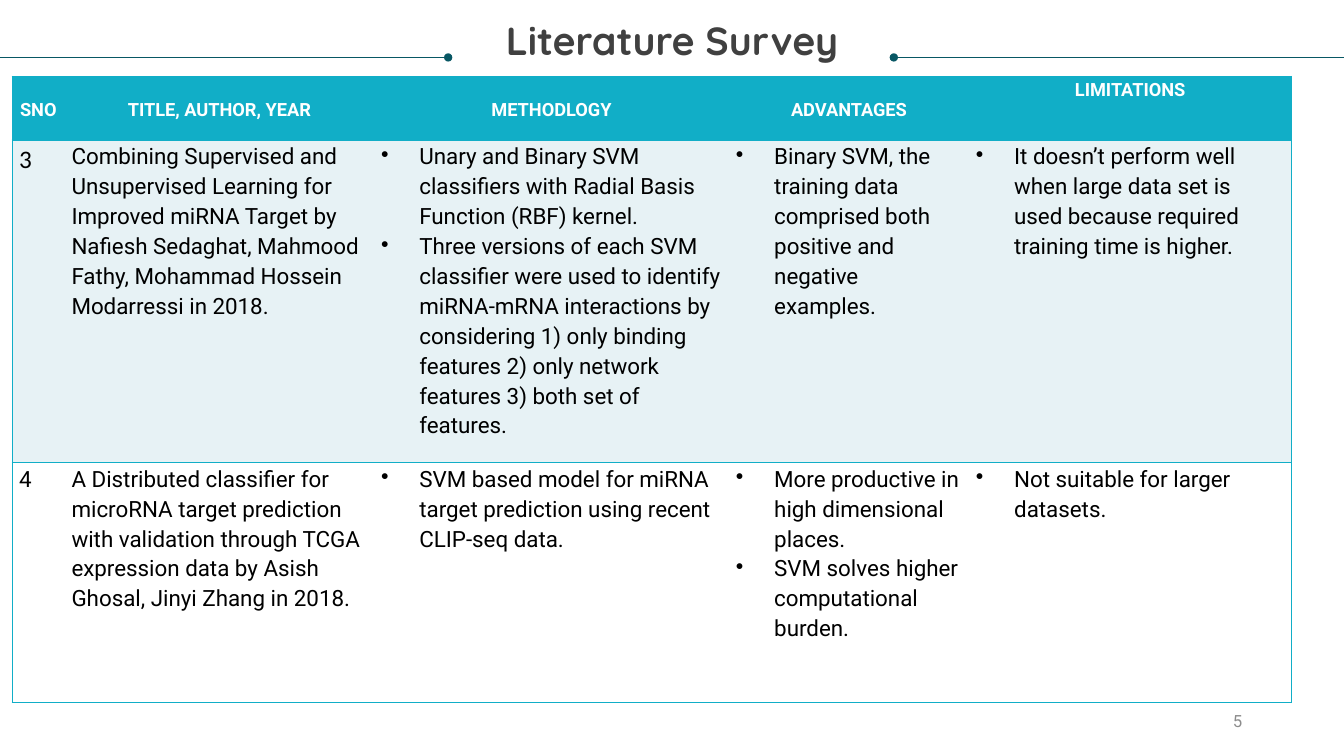
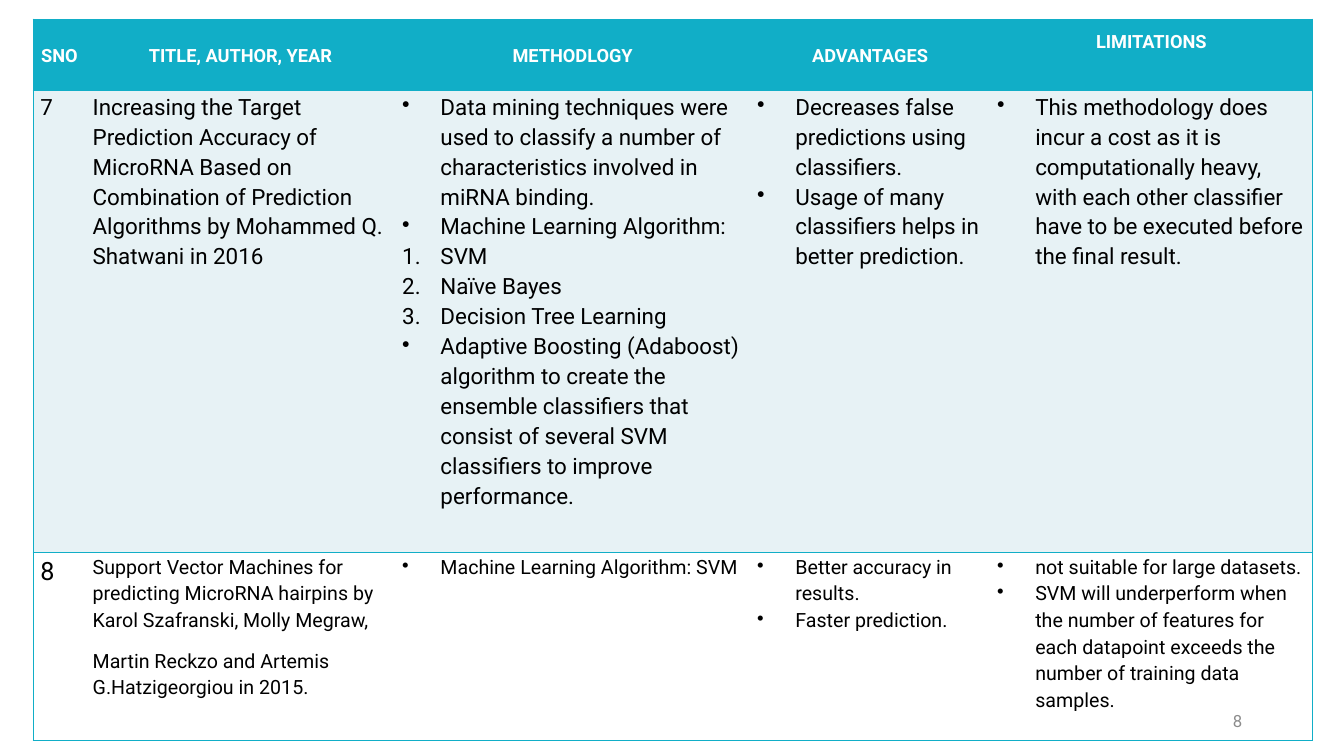
from dataclasses import dataclass

from lxml.etree import SubElement
from pptx import Presentation
from pptx.dml.color import RGBColor
from pptx.enum.shapes import MSO_CONNECTOR
from pptx.enum.text import MSO_ANCHOR as Anchor, PP_ALIGN as Align
from pptx.oxml.ns import qn
from pptx.util import Inches, Pt

TEAL = RGBColor(0x11, 0xAE, 0xC7)
DARK_TEAL = RGBColor(0x08, 0x57, 0x64)
PALE = RGBColor(0xE7, 0xF2, 0xF5)
WHITE = RGBColor(0xFF, 0xFF, 0xFF)
BLACK = RGBColor(0x00, 0x00, 0x00)
CHARCOAL = RGBColor(0x40, 0x40, 0x40)
GREY = RGBColor(0x8C, 0x8C, 0x8C)
BODY_FONT, TITLE_FONT = "Roboto", "Quicksand"

SLIDE_WIDTH, SLIDE_HEIGHT = 13.33, 7.5
COLUMN_WIDTHS = (0.52, 3.07, 3.52, 2.38, 3.2)
HEADINGS = ("SNO", "TITLE, AUTHOR, YEAR", "METHODLOGY", "ADVANTAGES", "LIMITATIONS")
PLAIN, BULLET, NUMBER = range(3)
INDENT = 0.38


@dataclass
class Paper:
    number: str
    citation: list
    methodology: list
    advantages: list
    limitations: list
    height: float
    size: int = 16
    number_size: int = 16
    number_font: str = BODY_FONT


PAPERS_3_4 = [
    Paper(
        "3",
        ["Combining Supervised and Unsupervised Learning for Improved miRNA Target by "
         "Nafiesh Sedaghat, Mahmood Fathy, Mohammad Hossein Modarressi in 2018."],
        ["Unary and Binary SVM classifiers with Radial Basis Function (RBF) kernel.",
         "Three versions of each SVM classifier were used to identify miRNA-mRNA "
         "interactions by considering 1) only binding features 2) only network "
         "features 3) both set of features."],
        ["Binary SVM, the training data comprised both positive and negative examples."],
        ["It doesn’t perform well when large data set is used because required "
         "training time is higher."],
        height=3.2, number_size=18, number_font="Calibri"),
    Paper(
        "4",
        ["A Distributed classifier for microRNA target prediction with validation "
         "through TCGA expression data by Asish Ghosal, Jinyi Zhang in 2018."],
        ["SVM based model for miRNA target prediction using recent CLIP-seq data."],
        ["More productive in high dimensional places.",
         "SVM solves higher computational burden."],
        ["Not suitable for larger datasets."],
        height=2.38),
]
PAPERS_7_8 = [
    Paper(
        "7",
        ["Increasing the Target Prediction Accuracy of MicroRNA Based on Combination "
         "of Prediction Algorithms by Mohammed Q. Shatwani in 2016"],
        ["Data mining techniques were used to classify a number of characteristics "
         "involved in miRNA binding.",
         "Machine Learning Algorithm:",
         ("SVM", NUMBER),
         ("Naïve Bayes", NUMBER),
         ("Decision Tree Learning", NUMBER),
         "Adaptive Boosting (Adaboost) algorithm to create the ensemble classifiers "
         "that consist of several SVM classifiers to improve performance."],
        ["Decreases false predictions using classifiers.",
         "Usage of many classifiers helps in better prediction."],
        ["This methodology does incur a cost as it is computationally heavy, with each "
         "other classifier have to be executed before the final result."],
        height=4.58),
    Paper(
        "8",
        ["Support Vector Machines for predicting MicroRNA hairpins by Karol Szafranski, "
         "Molly Megraw,",
         "Martin Reckzo and Artemis G.Hatzigeorgiou in 2015."],
        ["Machine Learning Algorithm: SVM"],
        ["Better accuracy in results.", "Faster prediction."],
        ["not suitable for large datasets.",
         "SVM will underperform when the number of features for each datapoint exceeds "
         "the number of training data samples."],
        height=1.87, size=14, number_size=18),
]


def add_marker(paragraph, marker):
    """Give a paragraph a hanging bullet or number."""
    properties = paragraph._p.get_or_add_pPr()
    properties.set("marL", str(Inches(INDENT)))
    properties.set("indent", str(-Inches(INDENT)))
    if marker == BULLET:
        SubElement(properties, qn("a:buChar"), char="•")
    else:
        SubElement(properties, qn("a:buAutoNum"), type="arabicPeriod")


def write(frame, items, *, size, color, font=BODY_FONT, bold=False, align=Align.LEFT,
          spacing=1.0, gap=0, marker=PLAIN):
    """Write one paragraph per item; an item is text or (text, marker)."""
    frame.word_wrap = True
    for index, item in enumerate(items):
        text, kind = item if isinstance(item, tuple) else (item, marker)
        paragraph = frame.add_paragraph() if index else frame.paragraphs[0]
        paragraph.alignment = align
        paragraph.line_spacing = spacing
        if index:
            paragraph.space_before = Pt(gap)
        if kind != PLAIN:
            add_marker(paragraph, kind)
        run = paragraph.add_run()
        run.text = text
        run.font.name, run.font.size, run.font.bold = font, Pt(size), bold
        run.font.color.rgb = color


def style_cell(cell, fill, margin, sides):
    """Set fill and margins; only the listed sides (of L, R, T, B) get a border."""
    cell.margin_left = cell.margin_right = Inches(margin)
    cell.margin_top = cell.margin_bottom = 0
    properties = cell._tc.get_or_add_tcPr()
    for side in "LRTB":
        border = SubElement(properties, qn(f"a:ln{side}"), w=str(Pt(1)))
        if side in sides:
            solid = SubElement(border, qn("a:solidFill"))
            SubElement(solid, qn("a:srgbClr"), val=str(TEAL))
        else:
            SubElement(border, qn("a:noFill"))
    cell.fill.solid()
    cell.fill.fore_color.rgb = fill


def outer_sides(column):
    return "TB" + {0: "L", len(HEADINGS) - 1: "R"}.get(column, "")


def add_survey_table(slide, left, top, header_height, papers, last_heading_margin):
    heights = [header_height] + [paper.height for paper in papers]
    table = slide.shapes.add_table(
        len(heights), len(HEADINGS), Inches(left), Inches(top),
        Inches(sum(COLUMN_WIDTHS)), Inches(sum(heights))).table
    table.first_row = table.horz_banding = False
    for column, width in zip(table.columns, COLUMN_WIDTHS):
        column.width = Inches(width)
    for row, height in zip(table.rows, heights):
        row.height = Inches(height)

    for column, heading in enumerate(HEADINGS):
        cell = table.cell(0, column)
        style_cell(cell, TEAL, 0.06, outer_sides(column))
        cell.vertical_anchor = Anchor.MIDDLE
        write(cell.text_frame, [heading], size=13, color=WHITE, bold=True,
              align=Align.CENTER, spacing=1.15)
    cell.vertical_anchor = Anchor.TOP
    cell.margin_top = Inches(last_heading_margin)

    for row, (paper, fill) in enumerate(zip(papers, (PALE, WHITE)), 1):
        contents = ([paper.number], paper.citation, paper.methodology,
                    paper.advantages, paper.limitations)
        for column, items in enumerate(contents):
            cell = table.cell(row, column)
            style_cell(cell, fill, 0.07, outer_sides(column))
            is_number, is_list = column == 0, column > 1
            write(cell.text_frame, items, color=BLACK, spacing=1.15,
                  size=paper.number_size if is_number else paper.size,
                  font=paper.number_font if is_number else BODY_FONT,
                  gap=0 if is_list else 10,
                  marker=BULLET if is_list else PLAIN)


def add_text(slide, left, top, width, height, text, *, anchor=Anchor.TOP, margin=0.0,
             **text_format):
    frame = slide.shapes.add_textbox(
        Inches(left), Inches(top), Inches(width), Inches(height)).text_frame
    frame.margin_left = frame.margin_right = Inches(margin)
    frame.margin_top = frame.margin_bottom = Inches(margin / 2)
    frame.vertical_anchor = anchor
    write(frame, [text], **text_format)


def add_title(slide, title, left=0.25, top=0.21, width=12.83, height=0.85):
    """Centred title between two dotted rules that run to the slide edges."""
    rule_y = Inches(top + 0.36)
    middle = left + width / 2
    for dot_x, edge_x in ((middle + 2.2, SLIDE_WIDTH), (middle - 2.22, -0.03)):
        rule = slide.shapes.add_connector(
            MSO_CONNECTOR.STRAIGHT, Inches(dot_x), rule_y, Inches(edge_x), rule_y)
        rule.line.color.rgb = DARK_TEAL
        rule.line.width = Pt(0.5)
        SubElement(rule.line._get_or_add_ln(), qn("a:headEnd"), type="oval")
        SubElement(rule._element.spPr, qn("a:effectLst"))
    add_text(slide, left, top, width, height, title, size=28, color=CHARCOAL,
             font=TITLE_FONT, bold=True, align=Align.CENTER, spacing=0.9)


def add_survey_slide(deck, page, title=None, **table_options):
    slide = deck.slides.add_slide(deck.slide_layouts[6])
    if title:
        add_title(slide, title)
    add_survey_table(slide, **table_options)
    add_text(slide, 9.42, 6.95, 3, 0.4, page, anchor=Anchor.MIDDLE, margin=0.1,
             size=12, color=GREY, align=Align.RIGHT)


def main():
    deck = Presentation()
    deck.slide_width, deck.slide_height = Inches(SLIDE_WIDTH), Inches(SLIDE_HEIGHT)
    add_survey_slide(deck, "5", "Literature Survey", left=0.12, top=0.76,
                     header_height=0.63, papers=PAPERS_3_4, last_heading_margin=0)
    add_survey_slide(deck, "8", left=0.33, top=0.19,
                     header_height=0.71, papers=PAPERS_7_8, last_heading_margin=0.09)
    deck.save("out.pptx")


if __name__ == "__main__":
    main()
